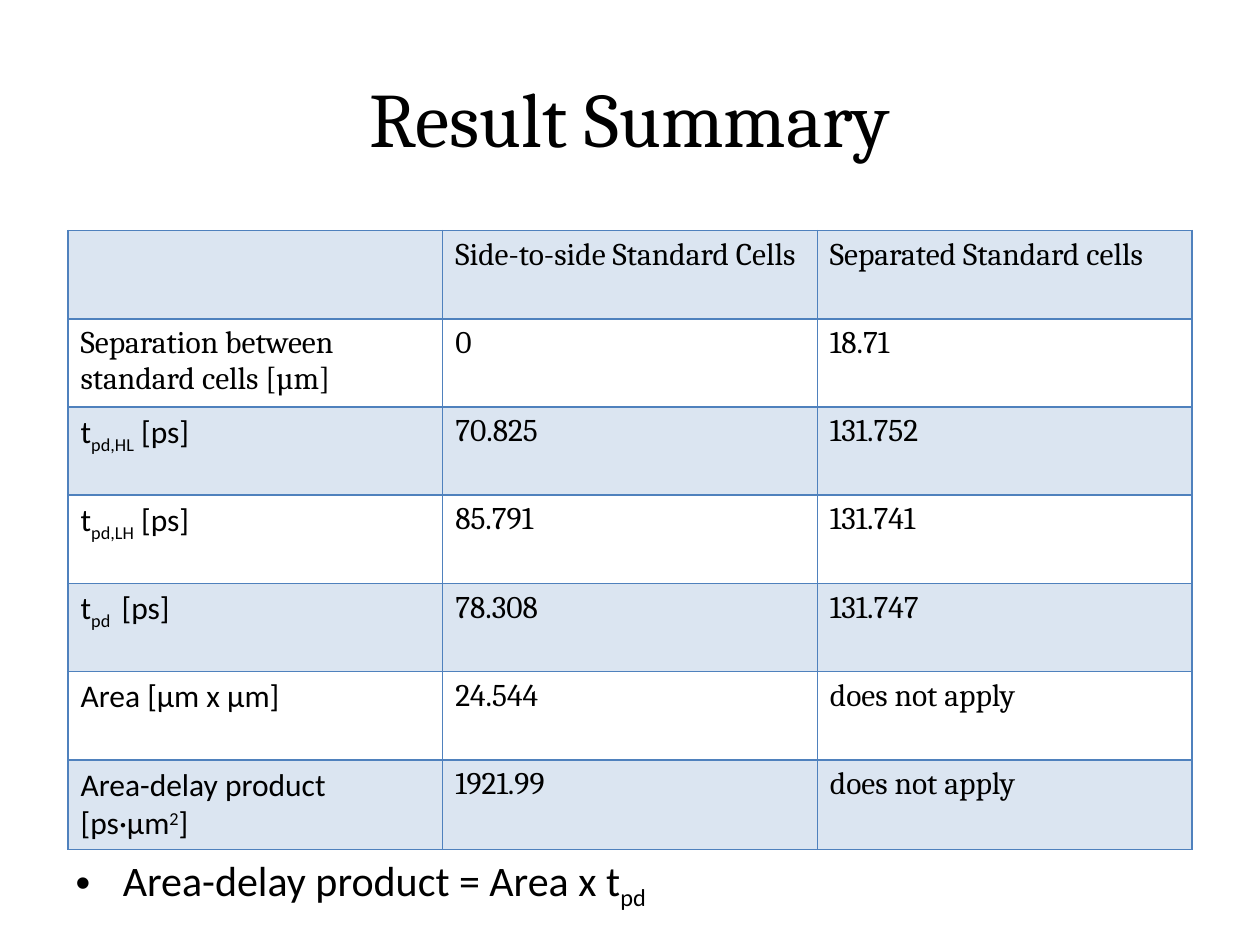
from dataclasses import dataclass

from lxml import etree
from pptx import Presentation
from pptx import util as u
from pptx.dml import color
from pptx.enum import text
from pptx.oxml import ns


@dataclass(frozen=True)
class Theme:
    ink: str = "000000"
    accent: str = "4F81BD"
    band_alpha: int = 20
    border: float = 1
    serif: str = "Cambria"
    sans: str = "Calibri"
    title_size: int = 44
    table_size: int = 18
    body_size: int = 24


SUB, SUPER = -25, 30


def write(para, spans, font, size, ink):
    for words, baseline in spans:
        span = para.add_run()
        span.text = words
        span.font.name = font
        span.font.size = u.Pt(size)
        span.font.color.rgb = color.RGBColor.from_string(ink)
        if baseline:
            span.font._element.set("baseline", str(baseline * 1000))


def plain(words):
    return [(words, 0)]


def delay(subscript):
    return [("t", 0), (subscript, SUB), (" [ps]", 0)]


class SlideBuilder:
    def __init__(self, deck, theme):
        self.theme = theme
        self.slide = deck.slides.add_slide(deck.slide_layouts[1])

    def placeholder(self, index, area, spans, font, size, anchor):
        box = self.slide.placeholders[index]
        box.left, box.top, box.width, box.height = map(u.Inches, area)
        frame = box.text_frame
        frame.auto_size = text.MSO_AUTO_SIZE.NONE
        frame.vertical_anchor = anchor
        write(frame.paragraphs[0], spans, font, size, self.theme.ink)

    def title(self, area, words):
        self.placeholder(0, area, plain(words), self.theme.serif,
                         self.theme.title_size, text.MSO_ANCHOR.MIDDLE)

    def bullet(self, area, spans):
        self.placeholder(1, area, spans, self.theme.sans,
                         self.theme.body_size, text.MSO_ANCHOR.TOP)

    def outline(self, cell):
        properties = cell._tc.get_or_add_tcPr()
        for side in ("lnL", "lnR", "lnT", "lnB"):
            line = etree.SubElement(properties, ns.qn(f"a:{side}"),
                                    w=str(u.Pt(self.theme.border)))
            fill = etree.SubElement(line, ns.qn("a:solidFill"))
            etree.SubElement(fill, ns.qn("a:srgbClr"), val=self.theme.accent)

    def shade(self, cell):
        cell.fill.solid()
        cell.fill.fore_color.rgb = color.RGBColor.from_string(self.theme.accent)
        tint = cell._tc.tcPr.find(".//" + ns.qn("a:solidFill") + "[last()]")
        tint = cell._tc.tcPr.findall(ns.qn("a:solidFill"))[0][0]
        etree.SubElement(tint, ns.qn("a:alpha"), val=str(self.theme.band_alpha * 1000))

    def table(self, area, rows):
        frame = self.slide.shapes.add_table(len(rows), len(rows[0][1]), *map(u.Inches, area))
        table = frame.table
        table.first_row = table.horz_banding = False
        for r, (label_font, row) in enumerate(rows):
            for c, spans in enumerate(row):
                cell = table.cell(r, c)
                self.outline(cell)
                if r % 2 == 0:
                    self.shade(cell)
                else:
                    cell.fill.background()
                font = label_font if c == 0 else self.theme.serif
                write(cell.text_frame.paragraphs[0], spans, font,
                      self.theme.table_size, self.theme.ink)


def main():
    theme = Theme()
    deck = Presentation()
    deck.slide_width, deck.slide_height = u.Inches(10), u.Inches(7.5)
    page = SlideBuilder(deck, theme)
    page.title((0.5, 0.3, 9, 1.25), "Result Summary")

    results = [
        (theme.serif, [], "Side-to-side Standard Cells", "Separated Standard cells"),
        (theme.serif, plain("Separation between standard cells [µm]"), "0", "18.71"),
        (theme.sans, delay("pd,HL"), "70.825", "131.752"),
        (theme.sans, delay("pd,LH"), "85.791", "131.741"),
        (theme.sans, delay("pd "), "78.308", "131.747"),
        (theme.sans, plain("Area [µm x µm]"), "24.544", "does not apply"),
        (theme.sans, [("Area-delay product [ps·µm", 0), ("2", SUPER), ("]", 0)],
         "1921.99", "does not apply"),
    ]
    page.table((0.54, 1.83, 8.92, 4.9),
               [(font, [label, plain(joined), plain(separated)])
                for font, label, joined, separated in results])
    page.bullet((0.5, 6.73, 9, 0.63), [("Area-delay product = Area x t", 0), ("pd", SUB)])
    deck.save("out.pptx")


main()
